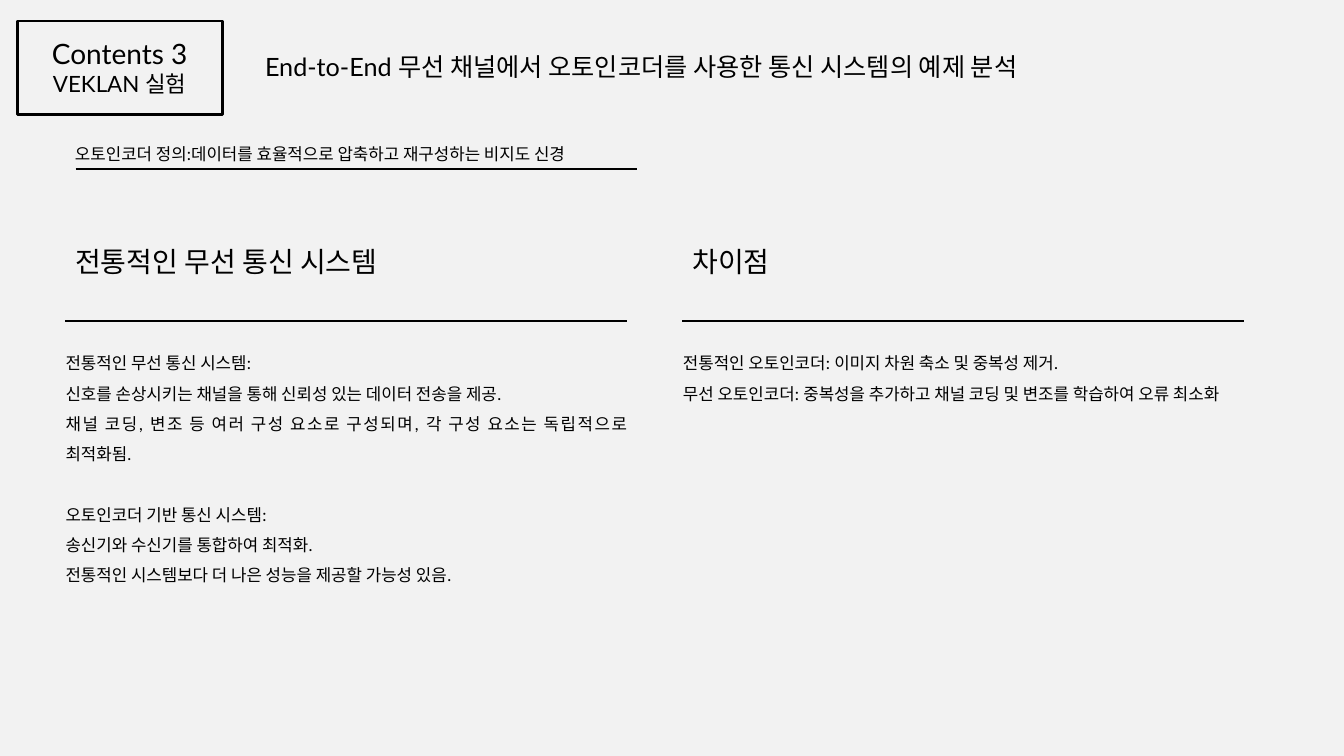
from dataclasses import dataclass

from lxml import etree
from pptx import Presentation
from pptx.dml.color import RGBColor
from pptx.enum.shapes import MSO_CONNECTOR as Connector, MSO_SHAPE as Shape
from pptx.enum.text import MSO_AUTO_SIZE as AutoSize, PP_ALIGN as Align
from pptx.oxml.ns import qn
from pptx.util import Emu, Pt

PX = 9525  # EMU in one px, 96 px to the inch


@dataclass(frozen=True)
class Theme:
    paper: str = "F2F2F2"
    ink: str = "000000"
    font: str = "Lato"
    heading_font: str = "Roboto"
    heading: int = 20
    title: int = 18
    subtitle: int = 16
    body: int = 12
    outline: float = 0.75
    outline_alpha: int = 30
    rule: float = 1.25
    frame: float = 2
    line_spacing: float = 1.5
    group_gap: float = 21.6  # one body line at the spacing above


def px(*lengths):
    return [Emu(length * PX) for length in lengths]


def write(para, text, *, size, font, color, outline, alpha):
    """Add text to a paragraph with a thin translucent outline."""
    span = para.add_run()
    span.text = text
    span.font.size, span.font.name = Pt(size), font
    span.font.color.rgb = RGBColor.from_string(color)
    props = span.font._element
    line = etree.Element(qn("a:ln"), w=str(Pt(outline)))
    fill = etree.SubElement(line, qn("a:solidFill"))
    tint = etree.SubElement(fill, qn("a:srgbClr"), val=color)
    etree.SubElement(tint, qn("a:alpha"), val=str(alpha * 1000))
    props.insert(0, line)


class Page:
    def __init__(self, deck, theme):
        self.theme = theme
        self.slide = deck.slides.add_slide(deck.slide_layouts[6])
        background = self.slide.background.fill
        background.solid()
        background.fore_color.rgb = RGBColor.from_string(theme.paper)

    def ink_line(self, line, width):
        line.color.rgb = RGBColor.from_string(self.theme.ink)
        line.width = Pt(width)

    def text(self, x, y, w, h, groups, *, sizes, font=None, align=None, spacing=None):
        """Write groups of lines; sizes repeat in turn over the lines."""
        theme = self.theme
        box = self.slide.shapes.add_textbox(*px(x, y, w, h))
        frame = box.text_frame
        frame.word_wrap = True
        frame.auto_size = AutoSize.SHAPE_TO_FIT_TEXT
        count = 0
        for group in groups:
            for place, words in enumerate(group):
                para = frame.add_paragraph() if count else frame.paragraphs[0]
                para.alignment, para.line_spacing = align, spacing
                if count and place == 0:
                    para.space_before = Pt(theme.group_gap)
                write(para, words, size=sizes[count % len(sizes)],
                      font=font or theme.font, color=theme.ink,
                      outline=theme.outline, alpha=theme.outline_alpha)
                count += 1

    def frame(self, x, y, w, h):
        box = self.slide.shapes.add_shape(Shape.RECTANGLE, *px(x, y, w, h))
        box.shadow.inherit = False
        box.fill.background()
        self.ink_line(box.line, self.theme.frame)

    def rule(self, x, y, w):
        rule = self.slide.shapes.add_connector(Connector.STRAIGHT, *px(x, y, x + w, y))
        self.ink_line(rule.line, self.theme.rule)
        etree.SubElement(rule._element.spPr, qn("a:effectLst"))

    def column(self, x, heading, groups, height):
        theme = self.theme
        self.text(x, 228, 399, 42, [[heading]], sizes=[theme.heading],
                  font=theme.heading_font)
        self.rule(x, 306, RULE_WIDTH)
        self.text(x - 9, 322, TEXT_WIDTH, height, groups, sizes=[theme.body],
                  align=Align.JUSTIFY, spacing=theme.line_spacing)


RULE_WIDTH, TEXT_WIDTH = 535, 554
COLUMN_LEFT, COLUMN_STEP = 62, 588
COLUMNS = [
    ("전통적인 무선 통신 시스템", 209, [
        ["전통적인 무선 통신 시스템:",
         "신호를 손상시키는 채널을 통해 신뢰성 있는 데이터 전송을 제공.",
         "채널 코딩, 변조 등 여러 구성 요소로 구성되며, 각 구성 요소는 독립적으로 최적화됨."],
        ["오토인코더 기반 통신 시스템:",
         "송신기와 수신기를 통합하여 최적화.",
         "전통적인 시스템보다 더 나은 성능을 제공할 가능성 있음."],
    ]),
    ("차이점", 64, [
        ["전통적인 오토인코더: 이미지 차원 축소 및 중복성 제거.",
         "무선 오토인코더: 중복성을 추가하고 채널 코딩 및 변조를 학습하여 오류 최소화"],
    ]),
]


def main():
    deck = Presentation()
    deck.slide_width, deck.slide_height = px(1280, 720)
    theme = Theme()
    page = Page(deck, theme)

    # Section label
    page.text(22, 30, 184, 68, [["Contents 3", "VEKLAN 실험"]],
              sizes=[theme.heading, theme.subtitle], align=Align.CENTER)
    page.frame(17, 20, 195, 89)

    # Definition
    page.text(62, 132, TEXT_WIDTH, 29,
              [["오토인코더 정의:데이터를 효율적으로 압축하고 재구성하는 비지도 신경"]],
              sizes=[theme.body], align=Align.JUSTIFY)
    page.rule(72, 161, RULE_WIDTH)

    # Title
    page.text(243, 44, 848, 38,
              [["End-to-End 무선 채널에서 오토인코더를 사용한 통신 시스템의 예제 분석"]],
              sizes=[theme.title])

    # Comparison columns
    for index, (heading, height, groups) in enumerate(COLUMNS):
        page.column(COLUMN_LEFT + index * COLUMN_STEP, heading, groups, height)

    deck.save("out.pptx")


if __name__ == "__main__":
    main()
